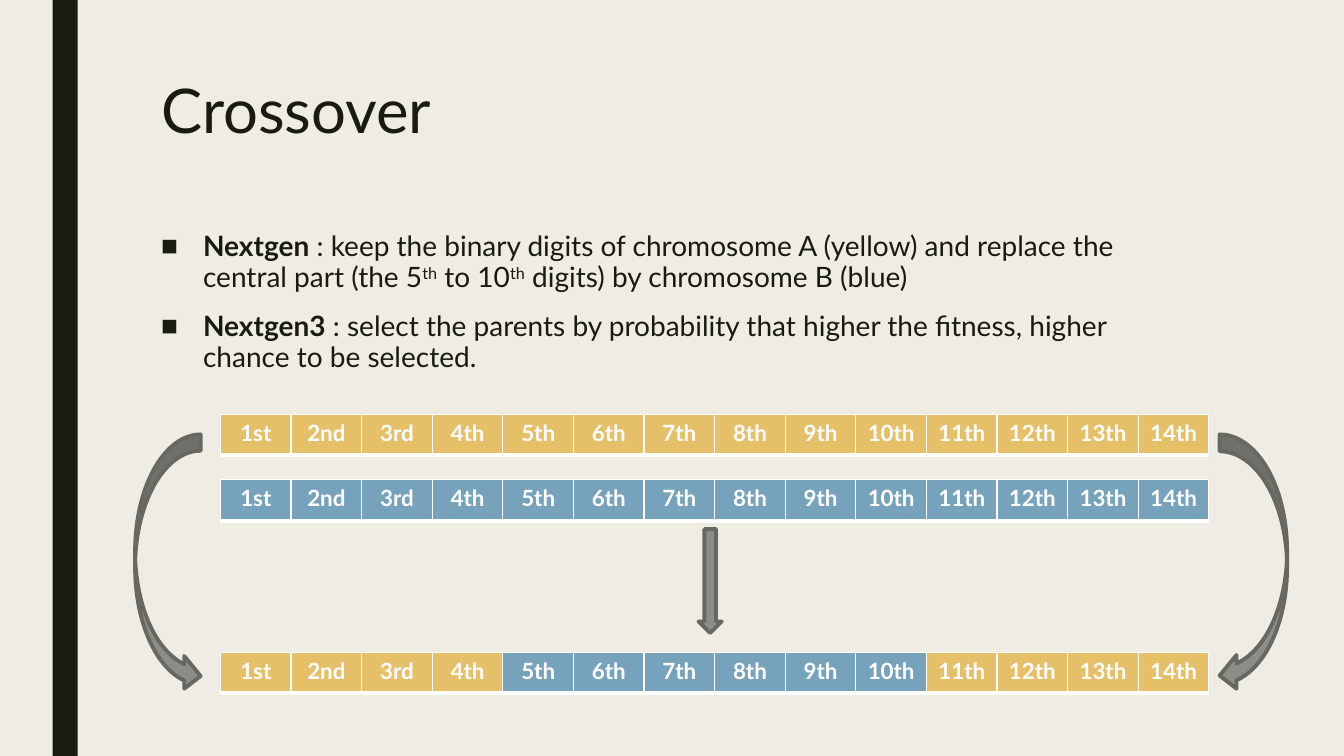
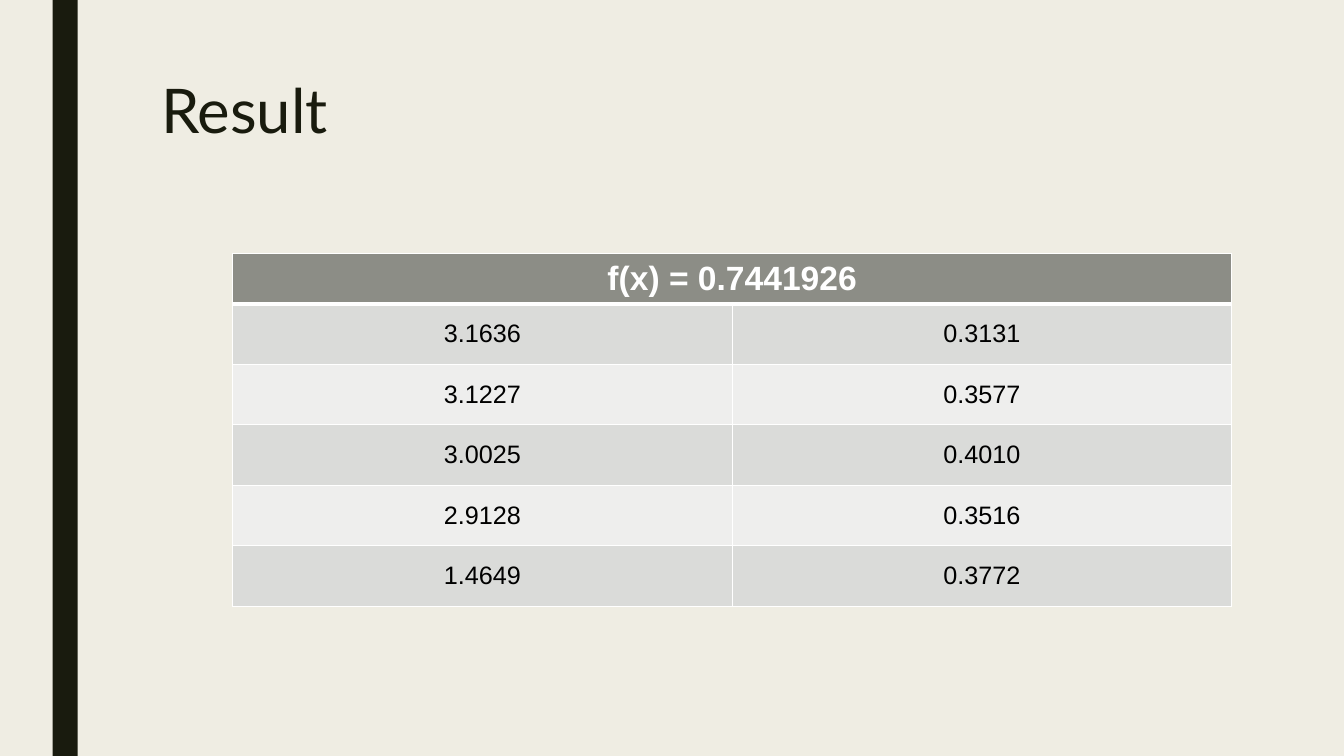
"""Build two slides on genetic crossover and its result."""
import dataclasses
import typing

import lxml.etree
import pptx
import pptx.dml.color
import pptx.enum.shapes
import pptx.enum.text
import pptx.oxml.ns
import pptx.util

Pt = pptx.util.Pt
qn = pptx.oxml.ns.qn
Kind = pptx.enum.shapes.MSO_SHAPE
Align = pptx.enum.text.PP_ALIGN
Anchor = pptx.enum.text.MSO_ANCHOR

PAPER, INK, WHITE, BLACK = "EFEDE3", "191B0E", "FFFFFF", "000000"
GOLD, BLUE, GREY, EDGE = "E6C069", "77A2BB", "8C8D86", "686863"
BANDS = ("DADBD9", "EEEEED")
GENES = ("1st", "2nd", "3rd") + tuple(f"{n}th" for n in range(4, 15))


@dataclasses.dataclass(frozen=True)
class Box:
    left: float
    top: float
    width: float
    height: float

    def place(self) -> tuple:
        return tuple(Pt(n) for n in (self.left, self.top, self.width, self.height))


class Run(typing.NamedTuple):
    text: str
    bold: bool = False
    base: int = 0


class Strand(typing.NamedTuple):
    top: float
    fills: tuple


class Arrow(typing.NamedTuple):
    kind: Kind
    box: Box


POINTS = (
    (
        Run("Nextgen", bold=True),
        Run(" : keep the binary digits of chromosome A (yellow) and replace "
            "the central part (the 5"),
        Run("th", base=30),
        Run(" to 10"),
        Run("th", base=30),
        Run(" digits) by chromosome B (blue)"),
    ),
    (
        Run("Nextgen3", bold=True),
        Run(" : select the parents by probability that higher the fitness, "
            "higher chance to be selected."),
    ),
)
STRANDS = (
    Strand(296, (GOLD,) * 14),
    Strand(342.7, (BLUE,) * 14),
    Strand(465.8, (GOLD,) * 4 + (BLUE,) * 6 + (GOLD,) * 4),
)
ARROWS = (
    Arrow(Kind.CURVED_RIGHT_ARROW, Box(96.5, 310.3, 46.8, 184.3)),
    Arrow(Kind.CURVED_LEFT_ARROW, Box(871.2, 310.3, 48.2, 184.3)),
    Arrow(Kind.DOWN_ARROW, Box(499, 378, 16.6, 74.2)),
)
RESULTS = (
    ("3.1636", "0.3131"),
    ("3.1227", "0.3577"),
    ("3.0025", "0.4010"),
    ("2.9128", "0.3516"),
    ("1.4649", "0.3772"),
)


def hue(code: str) -> pptx.dml.color.RGBColor:
    return pptx.dml.color.RGBColor.from_string(code)


def write(para, text: str, *, size: float, color: str = INK, font: str = "Lato",
          bold: bool = False, base: int = 0) -> None:
    run = para.add_run()
    run.text = text
    run.font.size = Pt(size)
    run.font.name = font
    run.font.bold = bold
    run.font.color.rgb = hue(color)
    if base:
        run.font._element.set("baseline", str(base * 1000))


def draw(slide, kind: Kind, box: Box, fill: str, line: str = "") -> None:
    shape = slide.shapes.add_shape(kind, *box.place())
    shape.shadow.inherit = False
    shape.fill.solid()
    shape.fill.fore_color.rgb = hue(fill)
    if line:
        shape.line.color.rgb = hue(line)
        shape.line.width = Pt(2.75)
    else:
        shape.line.fill.background()


def frame(slide, box: Box):
    body = slide.shapes.add_textbox(*box.place()).text_frame
    body.word_wrap = True
    return body


def start(deck, title: str):
    slide = deck.slides.add_slide(deck.slide_layouts[6])
    draw(slide, Kind.RECTANGLE, Box(37.5, 0, 18, 540), INK)
    para = frame(slide, Box(108, 54, 756, 116.6)).paragraphs[0]
    para.line_spacing = 0.89
    write(para, title, size=44)
    return slide


def bullet(para) -> None:
    para.line_spacing = 0.94
    para.space_before, para.space_after = Pt(10), Pt(2)
    props = para._p.get_or_add_pPr()
    props.set("marL", str(Pt(30)))
    props.set("indent", str(-Pt(30)))
    lxml.etree.SubElement(props, qn("a:buFont"), typeface="Arial")
    lxml.etree.SubElement(props, qn("a:buChar"), char="■")


def rule(cell, top: float, base: float) -> None:
    props = cell._tc.get_or_add_tcPr()
    sides = (("a:lnL", 1), ("a:lnR", 1), ("a:lnT", top), ("a:lnB", base))
    for spot, (tag, width) in enumerate(sides):
        line = lxml.etree.Element(qn(tag), w=str(Pt(width)))
        fill = lxml.etree.SubElement(line, qn("a:solidFill"))
        lxml.etree.SubElement(fill, qn("a:srgbClr"), val=WHITE)
        props.insert(spot, line)


def grid(slide, box: Box, rows: int, cols: int):
    table = slide.shapes.add_table(rows, cols, *box.place()).table
    table.first_row = table.horz_banding = False
    for col in table.columns:
        col.width = Pt(box.width / cols)
    return table


def label(cell, text: str, fill: str, top: float = 1, base: float = 1,
          **style) -> None:
    cell.fill.solid()
    cell.fill.fore_color.rgb = hue(fill)
    rule(cell, top, base)
    para = cell.text_frame.paragraphs[0]
    para.alignment = Align.CENTER
    write(para, text, **style)


def cross(deck) -> None:
    slide = start(deck, "Crossover")
    body = frame(slide, Box(108, 161.3, 756, 130))
    for spot, runs in enumerate(POINTS):
        para = body.add_paragraph() if spot else body.paragraphs[0]
        bullet(para)
        for run in runs:
            write(para, run.text, size=20, bold=run.bold, base=run.base)
    for strand in STRANDS:
        table = grid(slide, Box(157.5, strand.top, 706.3, 29.2), 1, len(GENES))
        for cell, gene, fill in zip(table.iter_cells(), GENES, strand.fills):
            label(cell, gene, fill, base=3, size=16, color=WHITE, bold=True)
    for arrow in ARROWS:
        draw(slide, arrow.kind, arrow.box, GREY, EDGE)


def result(deck) -> None:
    slide = start(deck, "Result")
    table = grid(slide, Box(166.2, 180.9, 713.6, 250), 1 + len(RESULTS), 2)
    table.rows[0].height = Pt(34)
    head = table.cell(0, 0)
    head.merge(table.cell(0, 1))
    head.vertical_anchor = Anchor.MIDDLE
    label(head, "f(x) = 0.7441926", GREY, base=3,
          size=24, color=WHITE, font="Arial", bold=True)
    rule(table.cell(0, 1), 1, 3)
    for row, pair in enumerate(RESULTS, 1):
        table.rows[row].height = Pt(43.2)
        for col, text in enumerate(pair):
            cell = table.cell(row, col)
            cell.vertical_anchor = Anchor.MIDDLE
            cell.margin_top = cell.margin_bottom = Pt(7.2)
            label(cell, text, BANDS[(row - 1) % 2], top=3 if row == 1 else 1,
                  size=18, color=BLACK, font="Arial")


def main() -> None:
    deck = pptx.Presentation()
    deck.slide_width, deck.slide_height = Pt(960), Pt(540)
    back = deck.slide_master.background.fill
    back.solid()
    back.fore_color.rgb = hue(PAPER)
    cross(deck)
    result(deck)
    deck.save("out.pptx")


if __name__ == "__main__":
    main()
